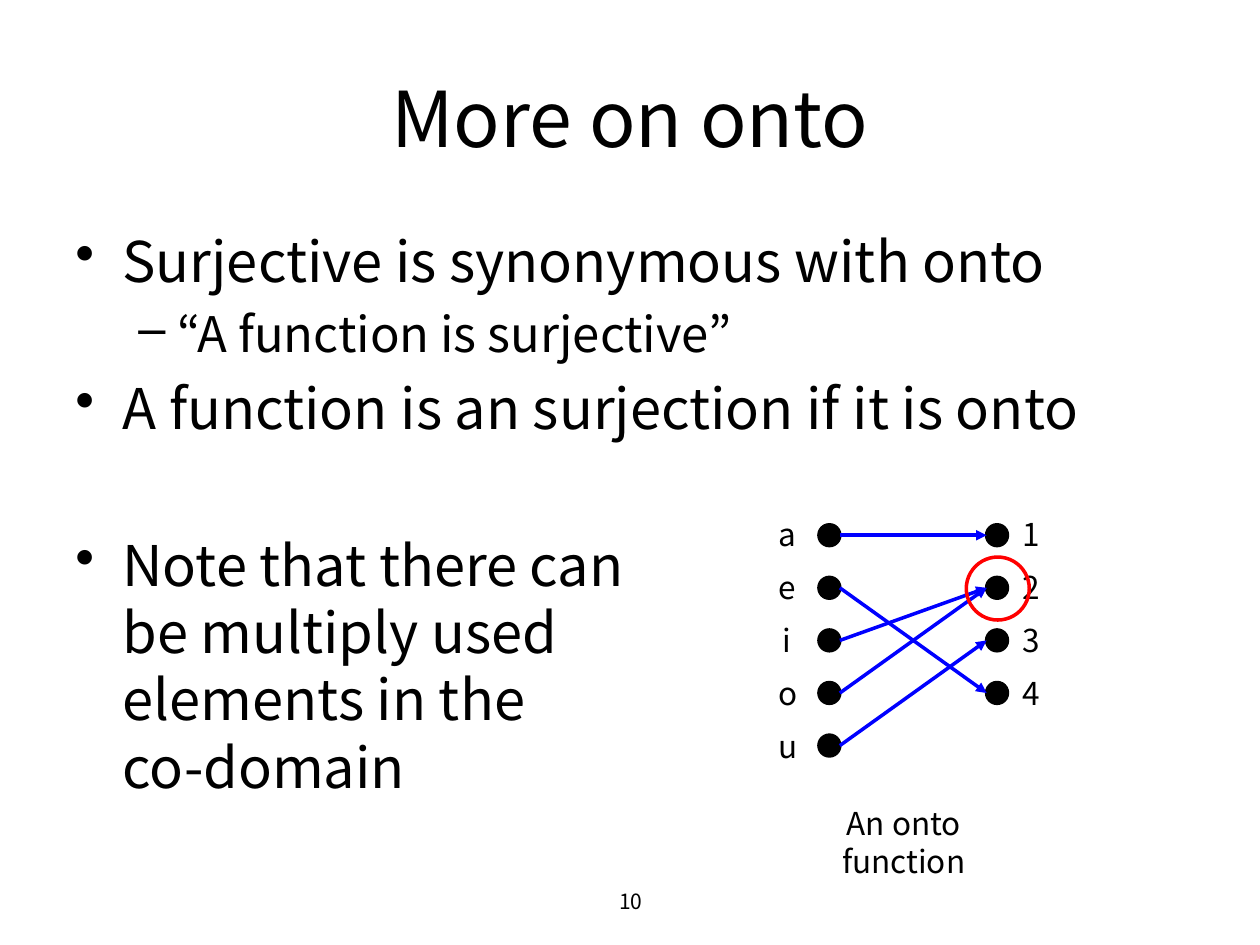
from typing import NamedTuple

from lxml import etree
from pptx import Presentation
from pptx.dml.color import RGBColor
from pptx.enum.shapes import MSO_CONNECTOR, MSO_SHAPE
from pptx.enum.text import MSO_ANCHOR, PP_ALIGN
from pptx.oxml.ns import qn
from pptx.util import Cm, Pt

FONT = "Noto Sans CJK KR"
BLACK, BLUE, RED = "000000", "0000FF", "FF0000"
DOT, ROW_TOP, ROW_STEP = 0.42, 10.58, 1.06
DOMAIN_X, CODOMAIN_X = 16.51, 19.89


class Item(NamedTuple):
    text: str
    size: int
    bullet: str
    level: int
    margin: float
    indent: float
    before: float


class Arrow(NamedTuple):
    source: int
    target: int


ITEMS = [
    Item("Surjective is synonymous with onto", 32, "•", 0, 0.95, -0.95, 6.4),
    Item("“A function is surjective”", 28, "–", 1, 2.06, -0.79, 5.6),
    Item("A function is an surjection if it is onto", 32, "•", 0, 0.95, -0.95, 6.4),
    Item("Note that there can \vbe multiply used \velements in the \vco-domain",
         32, "•", 0, 0.95, -0.95, 51),
]
ARROWS = [Arrow(0, 0), Arrow(1, 3), Arrow(2, 1), Arrow(3, 1), Arrow(4, 2)]


def color(value: str) -> RGBColor:
    return RGBColor.from_string(value)


def write(p, text: str, size: int, align=PP_ALIGN.LEFT, spacing=None):
    p.text = text
    p.alignment = align
    if spacing:
        p.line_spacing = spacing
    for r in p.runs:
        r.font.name = FONT
        r.font.size = Pt(size)
        r.font.color.rgb = color(BLACK)


def add_text(s, lines, x, y, w, h, *, size=18, align=PP_ALIGN.CENTER,
             anchor=MSO_ANCHOR.TOP, wrap=True, spacing=None):
    tf = s.shapes.add_textbox(Cm(x), Cm(y), Cm(w), Cm(h)).text_frame
    tf.word_wrap = wrap
    tf.vertical_anchor = anchor
    for i, line in enumerate(lines):
        p = tf.paragraphs[0] if i == 0 else tf.add_paragraph()
        write(p, line, size, align, spacing)
    return tf


def add_items(s, items: list[Item], x, y, w, h):
    tf = add_text(s, [item.text for item in items], x, y, w, h, align=PP_ALIGN.LEFT)
    for p, item in zip(tf.paragraphs, items):
        p.level = item.level
        p.space_before = Pt(item.before)
        for r in p.runs:
            r.font.size = Pt(item.size)
        pPr = p._p.get_or_add_pPr()
        pPr.set("marL", str(Cm(item.margin)))
        pPr.set("indent", str(Cm(item.indent)))
        etree.SubElement(pPr, qn("a:buChar"), char=item.bullet)


def add_circle(s, x, y, size, line: str, fill=None):
    sp = s.shapes.add_shape(MSO_SHAPE.OVAL, Cm(x), Cm(y), Cm(size), Cm(size))
    sp.shadow.inherit = False
    if fill:
        sp.fill.solid()
        sp.fill.fore_color.rgb = color(fill)
    else:
        sp.fill.background()
    sp.line.color.rgb = color(line)
    sp.line.width = Pt(2)


def row_y(row: int) -> float:
    return ROW_TOP + row * ROW_STEP


def add_arrow(s, arrow: Arrow):
    cx = s.shapes.add_connector(
        MSO_CONNECTOR.STRAIGHT,
        Cm(DOMAIN_X + DOT), Cm(row_y(arrow.source) + DOT / 2),
        Cm(CODOMAIN_X), Cm(row_y(arrow.target) + DOT / 2))
    cx.line.color.rgb = color(BLUE)
    cx.line.width = Pt(2)
    etree.SubElement(cx.line._get_or_add_ln(), qn("a:tailEnd"), type="triangle")
    etree.SubElement(cx._element.spPr, qn("a:effectLst"))


def add_set(s, labels: str, dot_x: float, label_x: float):
    """Draw one column of dots with its labels."""
    for row in range(len(labels)):
        add_circle(s, dot_x, row_y(row), DOT, BLACK, BLACK)
    add_text(s, labels, label_x, 9.96, 0.86, 5.59, wrap=False, spacing=1.4)


def main():
    prs = Presentation()
    prs.slide_width, prs.slide_height = Cm(25.4), Cm(19.05)
    s = prs.slides.add_slide(prs.slide_layouts[6])

    add_text(s, ["More on onto"], 1.27, 0.76, 22.86, 3.18, size=44,
             anchor=MSO_ANCHOR.MIDDLE)
    add_items(s, ITEMS, 1.27, 4.45, 22.86, 12.57)

    add_set(s, "aeiou", DOMAIN_X, 15.44)
    add_set(s, "1234", CODOMAIN_X, 20.35)
    for arrow in ARROWS:
        add_arrow(s, arrow)
    add_circle(s, 19.48, 11.23, 1.27, RED)
    add_text(s, ["An onto function"], 15.67, 16.08, 5.1, 1.02)

    add_text(s, ["10"], 8.69, 17.65, 8.05, 1.02, size=12, anchor=MSO_ANCHOR.MIDDLE)
    prs.save("out.pptx")


if __name__ == "__main__":
    main()
